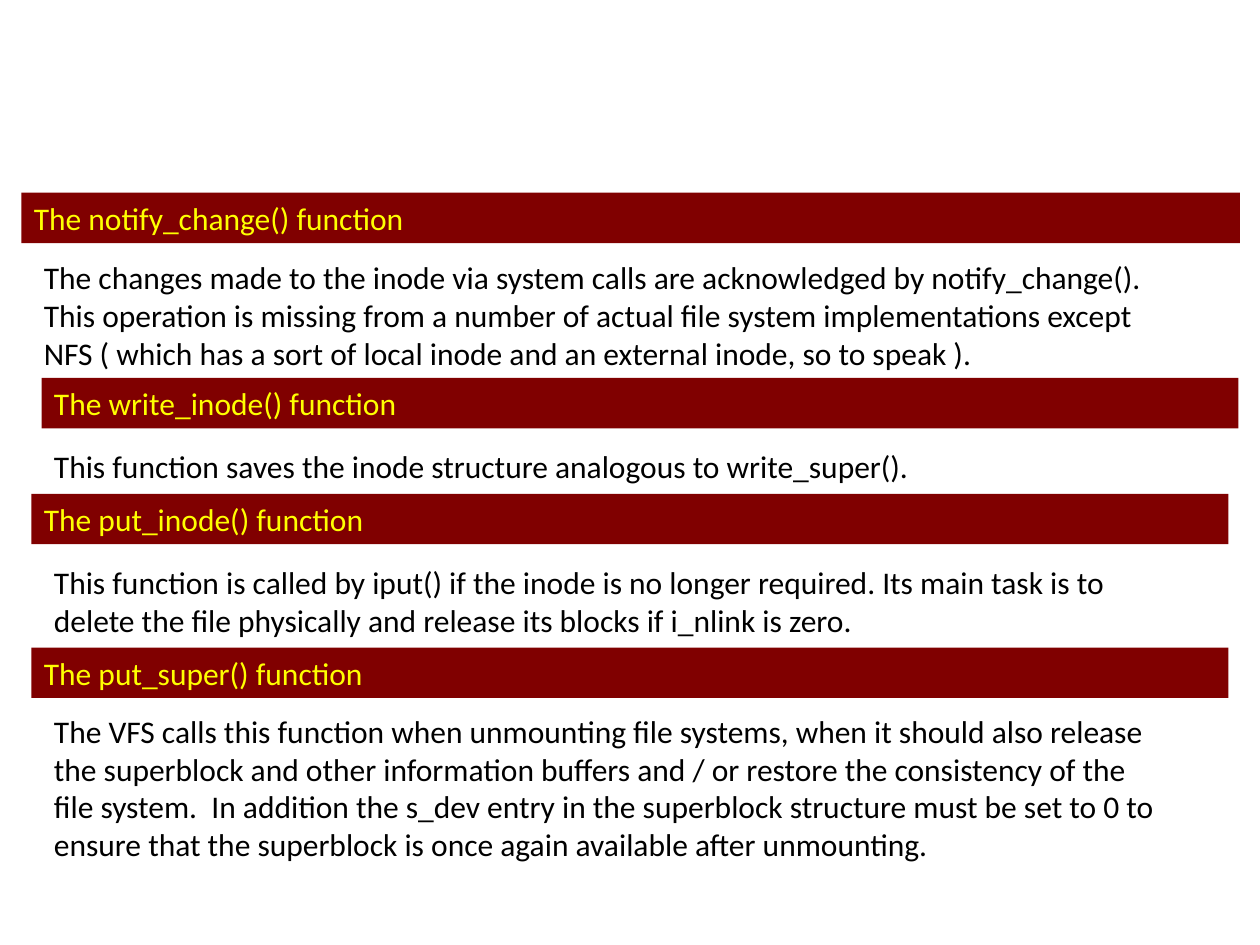
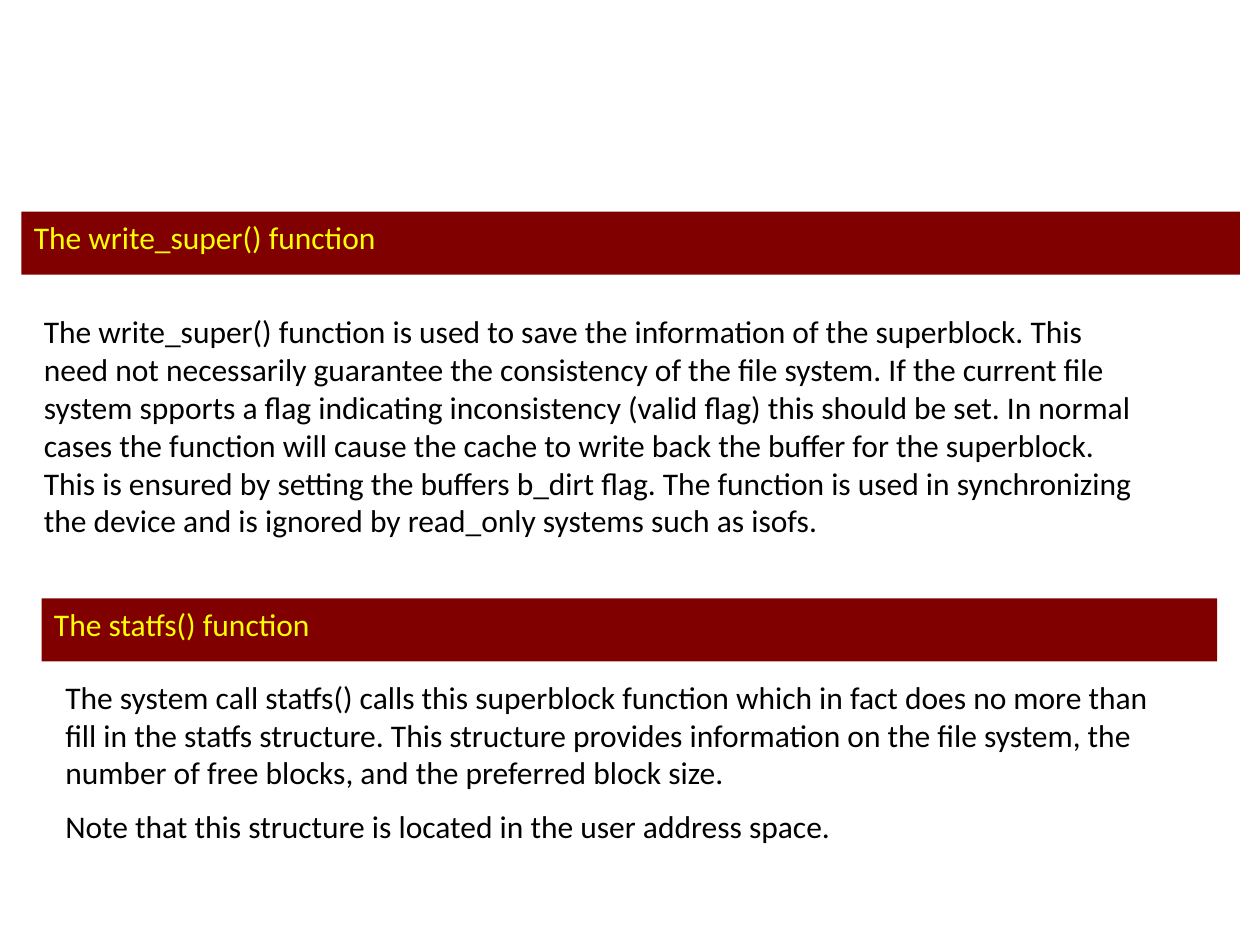
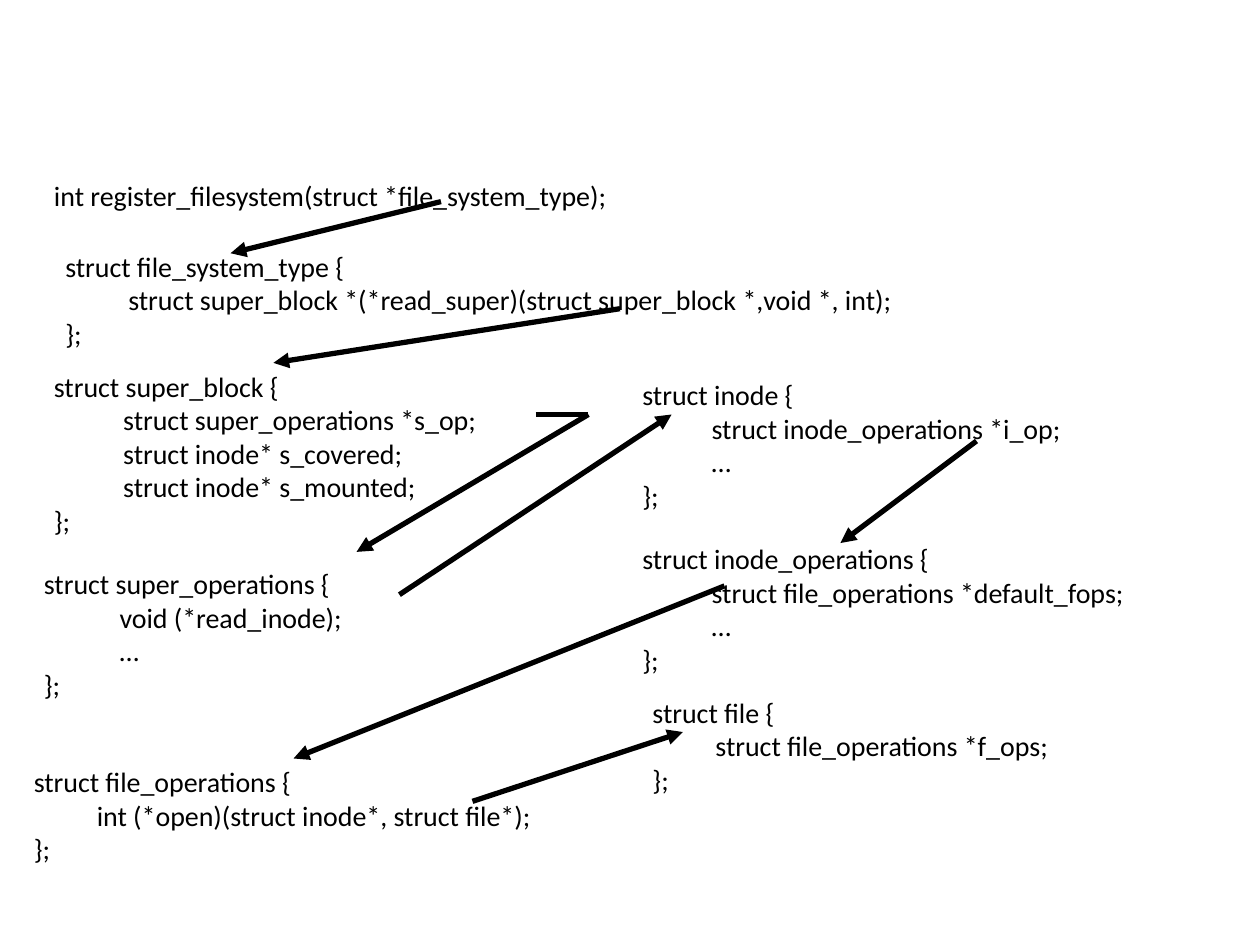
"""Builds three slides on the functions and structures of a virtual file system."""
import pptx
import pptx.dml.color
import pptx.enum.shapes
import pptx.enum.text
import pptx.oxml.ns
import pptx.util
from lxml import etree

Inches = pptx.util.Inches
Pt = pptx.util.Pt
RGB = pptx.dml.color.RGBColor.from_string
HUES = {"band": "800000", "head": "FFFF00", "ink": "000000"}
FONT = "Calibri"


def write(shape, lines, size, gap, hue, indent=0):
    frame = shape.text_frame
    frame.word_wrap = True
    frame.auto_size = pptx.enum.text.MSO_AUTO_SIZE.SHAPE_TO_FIT_TEXT
    frame.vertical_anchor = pptx.enum.text.MSO_ANCHOR.TOP
    for n, line in enumerate(lines):
        para = frame.paragraphs[0] if n == 0 else frame.add_paragraph()
        para.alignment = pptx.enum.text.PP_ALIGN.LEFT
        para.space_before = Pt(gap)
        if indent and 0 < n < len(lines) - 1:
            para._p.get_or_add_pPr().set("marL", str(Inches(indent)))
        run = para.add_run()
        run.text = line
        run.font.name = FONT
        run.font.size = Pt(size)
        run.font.color.rgb = RGB(HUES[hue])


def section(slide, band, head, body, lines, gap):
    bar = slide.shapes.add_shape(
        pptx.enum.shapes.MSO_SHAPE.RECTANGLE, *map(Inches, band))
    bar.shadow.inherit = False
    bar.fill.solid()
    bar.fill.fore_color.rgb = RGB(HUES["band"])
    bar.line.fill.background()
    write(bar, [head], 18, gap, "head")
    write(slide.shapes.add_textbox(*map(Inches, body)), lines, 18, gap, "ink")


deck = pptx.Presentation()
deck.slide_width = Inches(10)
deck.slide_height = Inches(7.5)
blank = deck.slide_layouts[6]

inodes = [
    ((0.17, 1.53, 9.67, 0.4), "The notify_change() function", (0.25, 2, 9, 1.01),
     ["The changes made to the inode via system calls are acknowledged by "
      "notify_change(). This operation is missing from a number of actual file "
      "system implementations except NFS ( which has a sort of local inode and "
      "an external inode, so to speak )."]),
    ((0.33, 3, 9.5, 0.4), "The write_inode() function", (0.33, 3.5, 9, 0.4),
     ["This function saves the inode structure analogous to write_super()."]),
    ((0.25, 3.92, 9.5, 0.4), "The put_inode() function", (0.33, 4.42, 9, 0.71),
     ["This function is called by iput() if the inode is no longer required. "
      "Its main task is to delete the file physically and release its blocks "
      "if i_nlink is zero."]),
    ((0.25, 5.14, 9.5, 0.4), "The put_super() function", (0.33, 5.6, 9, 1.31),
     ["The VFS calls this function when unmounting file systems, when it should "
      "also release the superblock and other information buffers and / or "
      "restore the consistency of the file system.  In addition the s_dev entry "
      "in the superblock structure must be set to 0 to ensure that the "
      "superblock is once again available after unmounting."]),
]
supers = [
    ((0.17, 1.68, 9.67, 0.5), "The write_super() function", (0.25, 2.43, 9, 1.9),
     ["The write_super() function is used to save the information of the "
      "superblock. This need not necessarily guarantee the consistency of the "
      "file system. If the current file system spports a flag indicating "
      "inconsistency (valid flag) this should be set. In normal cases the "
      "function will cause the cache to write back the buffer for the "
      "superblock. This is ensured by setting the buffers b_dirt flag. The "
      "function is used in synchronizing the device and is ignored by read_only "
      "systems such as isofs."]),
    ((0.33, 4.75, 9.33, 0.5), "The statfs() function", (0.42, 5.33, 9, 1.9),
     ["The system call statfs() calls this superblock function which in fact "
      "does no more than fill in the statfs structure. This structure provides "
      "information on the file system, the number of free blocks, and the "
      "preferred block size.",
      "Note that this structure is located in the user address space."]),
]
for parts, gap in ((inodes, 6), (supers, 9)):
    slide = deck.slides.add_slide(blank)
    for part in parts:
        section(slide, *part, gap)

slide = deck.slides.add_slide(blank)
structs = [
    ((0.33, 1.37, 5.42, 0.33), 0,
     ["int register_filesystem(struct *file_system_type);"]),
    ((0.42, 1.93, 7.83, 0.82), 0.5,
     ["struct file_system_type {",
      "struct super_block *(*read_super)(struct super_block *,void *, int);",
      "};"]),
    ((0.33, 2.88, 4.17, 1.31), 0.55,
     ["struct super_block {", "struct super_operations *s_op;",
      "struct inode* s_covered;", "struct inode* s_mounted;", "};"]),
    ((0.25, 4.45, 3.42, 1.06), 0.6,
     ["struct super_operations {", "void (*read_inode);", "…", "};"]),
    ((5, 2.95, 4.58, 1.06), 0.55,
     ["struct inode {", "struct inode_operations *i_op;", "…", "};"]),
    ((5, 4.25, 4.58, 1.06), 0.55,
     ["struct inode_operations {", "struct file_operations *default_fops;",
      "…", "};"]),
    ((5.08, 5.47, 4.42, 0.82), 0.5,
     ["struct file {", "struct file_operations *f_ops;", "};"]),
    ((0.17, 6.02, 4.83, 0.82), 0.5,
     ["struct file_operations {",
      "int (*open)(struct inode*, struct file*);", "};"]),
]
for place, indent, lines in structs:
    box = slide.shapes.add_textbox(*map(Inches, place))
    write(box, lines, 16, 0, "ink", indent)

links = [
    (3.5, 1.6, 1.83, 2.01, True),
    (4.92, 2.45, 2.17, 2.88, True),
    (4.25, 3.29, 4.67, 3.29, False),
    (4.67, 3.29, 2.83, 4.38, True),
    (3.17, 4.72, 5.33, 3.29, True),
    (7.75, 3.5, 6.67, 4.31, True),
    (5.75, 4.65, 2.33, 6.02, True),
    (3.75, 6.36, 5.42, 5.81, True),
]
for *ends, tip in links:
    link = slide.shapes.add_connector(
        pptx.enum.shapes.MSO_CONNECTOR.STRAIGHT, *map(Inches, ends))
    link.line.color.rgb = RGB(HUES["ink"])
    link.line.width = Pt(3)
    if tip:
        etree.SubElement(link.line._get_or_add_ln(),
                         pptx.oxml.ns.qn("a:tailEnd"), type="triangle")
    etree.SubElement(link._element.spPr, pptx.oxml.ns.qn("a:effectLst"))

deck.save("out.pptx")
